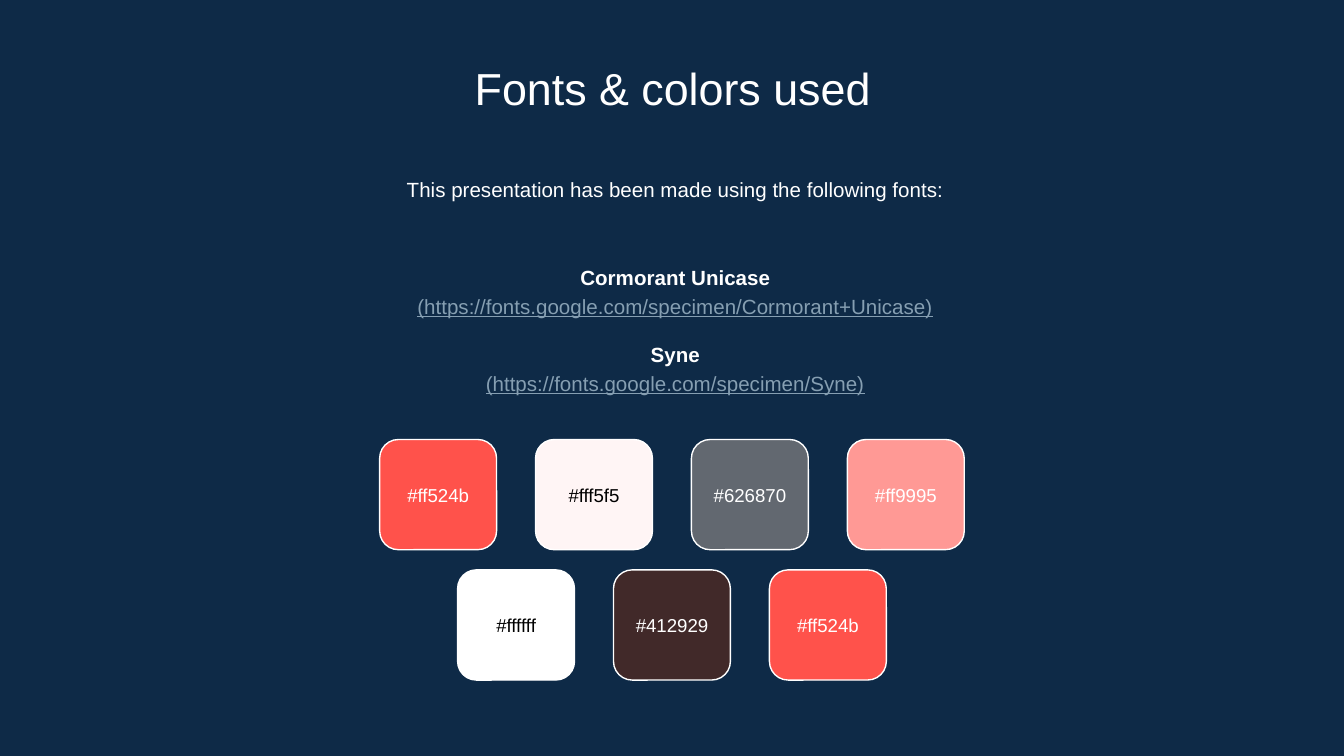
from pptx import Presentation
from pptx.dml.color import RGBColor
from pptx.enum.shapes import MSO_SHAPE
from pptx.enum.text import MSO_ANCHOR, PP_ALIGN
from pptx.util import Inches, Pt

NAVY = RGBColor(0x0E, 0x2A, 0x47)
WHITE = RGBColor(0xFF, 0xFF, 0xFF)
BLACK = RGBColor(0x00, 0x00, 0x00)
LINK = RGBColor(0x86, 0x9F, 0xB2)
FONT = "Arial"

SWATCH_WIDTH, SWATCH_HEIGHT, SWATCH_GAP = 0.87, 0.82, 0.29
LABEL_HEIGHT = 0.48
PAGE_CENTER = 5

FONTS_USED = [
    ("Cormorant Unicase", "(https://fonts.google.com/specimen/Cormorant+Unicase)"),
    ("Syne", "(https://fonts.google.com/specimen/Syne)"),
]
SWATCH_ROWS = [
    (3.27, ["#ff524b", "#fff5f5", "#626870", "#ff9995"]),
    (4.24, ["#ffffff", "#412929", "#ff524b"]),
]
LIGHT_COLORS = {"#fff5f5", "#ffffff"}


class PageBuilder:
    def __init__(self, page):
        self.page = page
        background = page.background.fill
        background.solid()
        background.fore_color.rgb = NAVY

    def text(self, left, top, width, height, lines, size, color=WHITE,
             anchor=MSO_ANCHOR.TOP, spacing=1.0):
        box = self.page.shapes.add_textbox(
            Inches(left), Inches(top), Inches(width), Inches(height))
        frame = box.text_frame
        frame.word_wrap = True
        frame.vertical_anchor = anchor
        frame.margin_left = frame.margin_right = Inches(0.1)
        frame.margin_top = frame.margin_bottom = Inches(0.1)
        frame.text = "\n".join(lines)
        for para in frame.paragraphs:
            para.alignment = PP_ALIGN.CENTER
            para.line_spacing = spacing
            for span in para.runs:
                span.font.name = FONT
                span.font.size = Pt(size)
                span.font.color.rgb = color
        return box

    def font_list(self, left, top, width, height, fonts):
        lines = [line for pair in fonts for line in pair]
        box = self.text(left, top, width, height, lines, 11,
                        anchor=MSO_ANCHOR.MIDDLE, spacing=1.15)
        paragraphs = box.text_frame.paragraphs
        for name in paragraphs[::2]:
            name.runs[0].font.bold = True
        for name in paragraphs[2::2]:
            name.space_before = Pt(11)
        for address in paragraphs[1::2]:
            address.runs[0].font.underline = True
            address.runs[0].font.color.rgb = LINK

    def swatch(self, left, top, code):
        tile = self.page.shapes.add_shape(
            MSO_SHAPE.ROUNDED_RECTANGLE, Inches(left), Inches(top),
            Inches(SWATCH_WIDTH), Inches(SWATCH_HEIGHT))
        tile.shadow.inherit = False
        tile.adjustments[0] = 0.17
        tile.fill.solid()
        tile.fill.fore_color.rgb = RGBColor.from_string(code[1:].upper())
        tile.line.color.rgb = WHITE
        tile.line.width = Pt(0.75)
        label_top = top + (SWATCH_HEIGHT - LABEL_HEIGHT) / 2
        self.text(left, label_top, SWATCH_WIDTH, LABEL_HEIGHT, [code], 10,
                  BLACK if code in LIGHT_COLORS else WHITE, MSO_ANCHOR.MIDDLE)

    def swatch_row(self, top, codes):
        step = SWATCH_WIDTH + SWATCH_GAP
        start = PAGE_CENTER - (len(codes) * step - SWATCH_GAP) / 2
        for index, code in enumerate(codes):
            self.swatch(start + index * step, top, code)


def main():
    deck = Presentation()
    deck.slide_width = Inches(10)
    deck.slide_height = deck.slide_width * 9 // 16
    builder = PageBuilder(deck.slides.add_slide(deck.slide_layouts[6]))
    builder.text(1.15, 0.35, 7.71, 0.53, ["Fonts & colors used"], 24)
    builder.text(1.17, 1.19, 7.71, 0.48,
                 ["This presentation has been made using the following fonts:"],
                 11, spacing=1.15)
    builder.font_list(1.17, 1.76, 7.71, 1.37, FONTS_USED)
    for top, codes in SWATCH_ROWS:
        builder.swatch_row(top, codes)
    deck.save("out.pptx")


if __name__ == "__main__":
    main()
